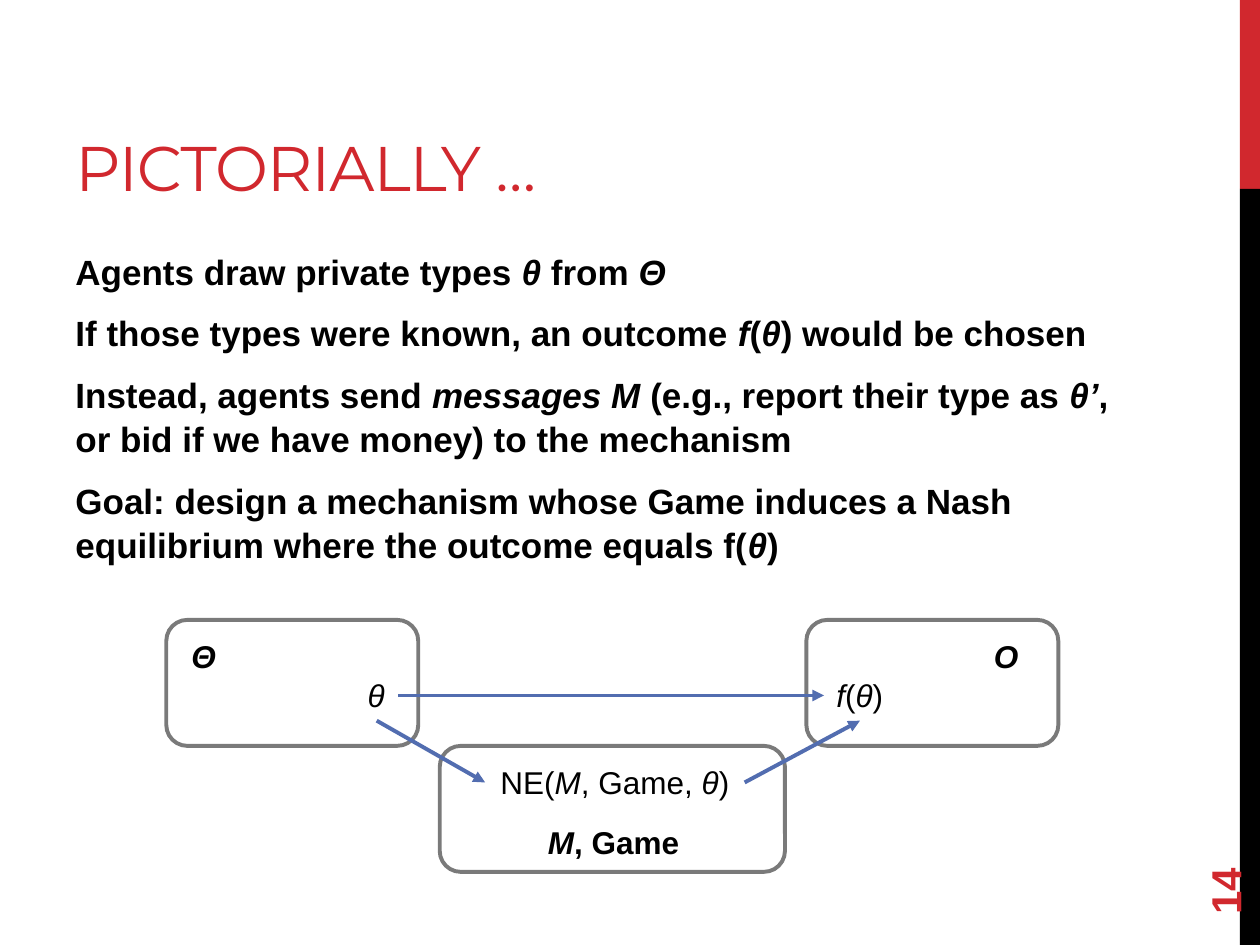
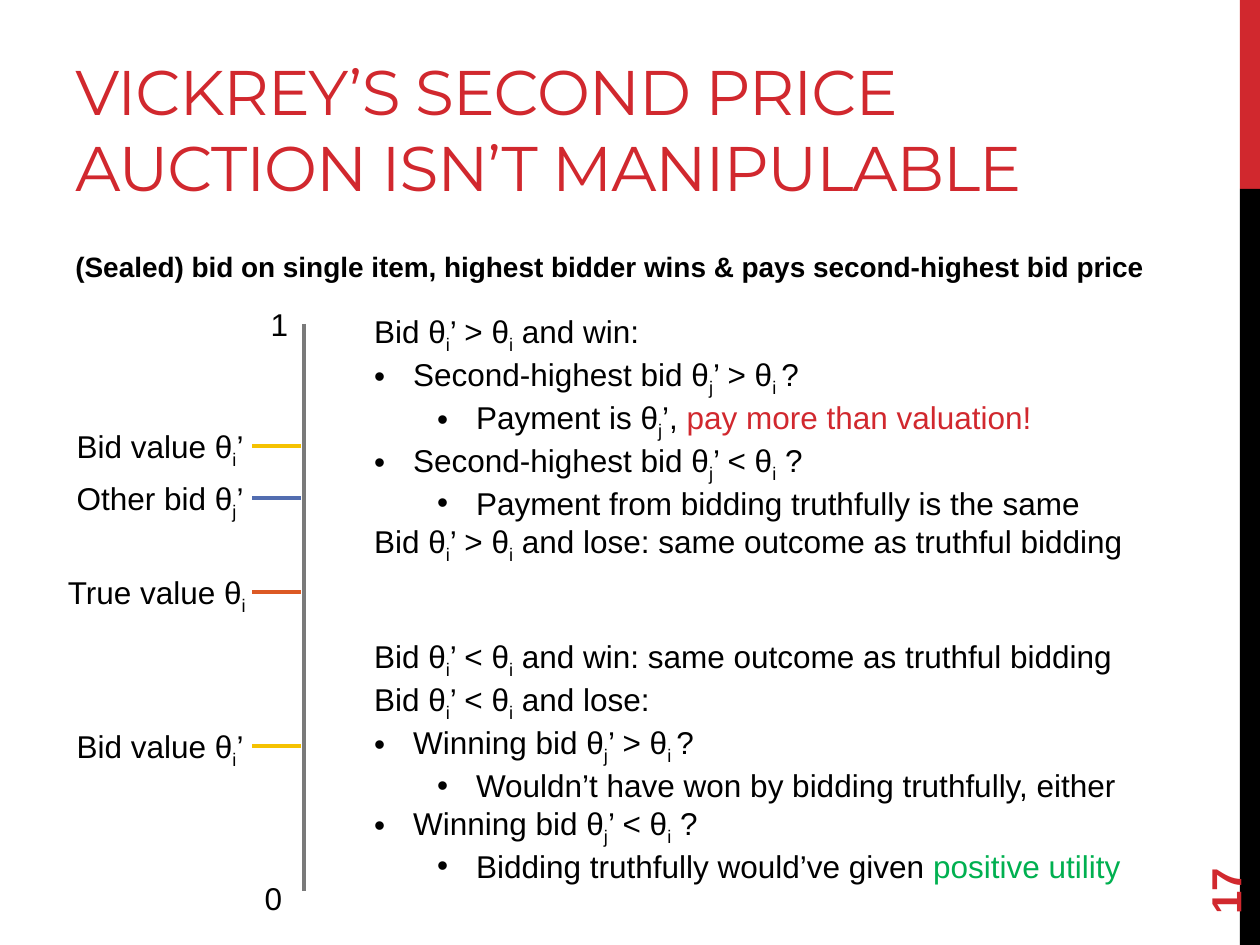
from lxml.etree import SubElement
from pptx import Presentation
from pptx.dml.color import RGBColor
from pptx.enum.shapes import MSO_CONNECTOR, MSO_SHAPE
from pptx.enum.text import MSO_ANCHOR, PP_ALIGN
from pptx.oxml.ns import qn
from pptx.util import Inches, Pt

RED = RGBColor(0xD1, 0x28, 0x2E)
BLACK = RGBColor(0, 0, 0)
WHITE = RGBColor(0xFF, 0xFF, 0xFF)
GREY = RGBColor(0x7A, 0x7A, 0x7A)
BLUE = RGBColor(0x52, 0x6D, 0xB0)
ORANGE = RGBColor(0xDC, 0x59, 0x24)
YELLOW = RGBColor(0xF5, 0xC2, 0x01)
GREEN = RGBColor(0x00, 0xB0, 0x50)

TYPE_STEPS = [
    "Agents draw private types *θ* from *Θ*",
    "If those types were known, an outcome *f*(*θ*) would be chosen",
    "Instead, agents send *messages M* (e.g., report their type as *θ’*, "
    "or bid if we have money) to the mechanism",
    "Goal: design a mechanism whose Game induces a Nash equilibrium "
    "where the outcome equals f(*θ*)",
]
AUCTION_RULE = ["(Sealed) bid on single item, highest bidder wins & pays second-highest bid price"]
OVERBID_CASES = [
    (0, "Bid θ_i_’ > θ_i_ and win:"),
    (1, "Second-highest bid θ_j_’ > θ_i _?"),
    (2, "Payment is θ_j_’, |pay more than valuation!|"),
    (1, "Second-highest bid θ_j_’ < θ_i_ ?"),
    (2, "Payment from bidding truthfully is the same"),
    (0, "Bid θ_i_’ > θ_i_ and lose: same outcome as truthful bidding"),
]
UNDERBID_CASES = [
    (0, "Bid θ_i_’ < θ_i_ and win: same outcome as truthful bidding"),
    (0, "Bid θ_i_’ < θ_i_ and lose:"),
    (1, "Winning bid θ_j_’ > θ_i _?"),
    (2, "Wouldn’t have won by bidding truthfully, either"),
    (1, "Winning bid θ_j_’ < θ_i_ ?"),
    (2, "Bidding truthfully would’ve given |positive utility|"),
]
BID_MARKS = [
    (0.97, 0.07, "Bid value θ_i_’", YELLOW),
    (1.38, 0.07, "Other bid θ_j_’", BLUE),
    (2.13, 0, "True value θ_i_", ORANGE),
    (3.35, 0.07, "Bid value θ_i_’", YELLOW),
]


def write(paragraph, text, size, bold=False, color=BLACK, font="Arial", accent=RED):
    """Fill a paragraph; *x* is italic, _x_ is subscript and |x| is accented."""
    paragraph.font.size = Pt(size)
    paragraph.font.bold = bold
    paragraph.font.name = font
    paragraph.font.color.rgb = color
    for accented, phrase in enumerate(text.split("|")):
        for lowered, piece in enumerate(phrase.split("_")):
            for slanted, words in enumerate(piece.split("*")):
                if not words:
                    continue
                run = paragraph.add_run()
                run.text = words
                if slanted % 2:
                    run.font.italic = True
                if lowered % 2:
                    run.font._element.set("baseline", "-25000")
                if accented % 2:
                    run.font.color.rgb = accent


def add_text_box(slide, left, top, width, height, anchor=MSO_ANCHOR.TOP):
    """Add an empty wrapping text box."""
    box = slide.shapes.add_textbox(Inches(left), Inches(top), Inches(width), Inches(height))
    box.text_frame.word_wrap = True
    box.text_frame.vertical_anchor = anchor
    return box


def add_label(slide, left, top, width, text, bold=False, align=PP_ALIGN.LEFT):
    """Add a one-line label."""
    label = add_text_box(slide, left, top, width, 0.4)
    paragraph = label.text_frame.paragraphs[0]
    paragraph.alignment = align
    write(paragraph, text, 18, bold)
    return label


def add_block(slide, kind, left, top, width, height, fill):
    """Add a flat filled shape without outline."""
    block = slide.shapes.add_shape(kind, Inches(left), Inches(top), Inches(width), Inches(height))
    block.shadow.inherit = False
    block.fill.solid()
    block.fill.fore_color.rgb = fill
    block.line.fill.background()
    return block


def add_space(slide, left, top, width):
    """Add a rounded outline that stands for a set."""
    space = add_block(slide, MSO_SHAPE.ROUNDED_RECTANGLE, left, top, width, 1, WHITE)
    space.line.color.rgb = GREY
    space.line.width = Pt(2.25)


def add_line(slide, start, end, color):
    """Add a straight line between two points in inches."""
    line = slide.shapes.add_connector(
        MSO_CONNECTOR.STRAIGHT, *(Inches(value) for value in (*start, *end)))
    line.line.color.rgb = color
    line.line.width = Pt(2.25)
    SubElement(line._element.spPr, qn("a:effectLst"))
    return line


def add_arrow(slide, source, source_side, target, target_side):
    """Join two labels with an arrow."""
    arrow = add_line(slide, (0, 0), (0, 0), BLUE)
    arrow.begin_connect(source, source_side)
    arrow.end_connect(target, target_side)
    SubElement(arrow.line._get_or_add_ln(), qn("a:tailEnd"), type="triangle")


def add_frame(deck, title, number):
    """Add a slide with side bands, title and page number."""
    slide = deck.slides.add_slide(deck.slide_layouts[6])
    add_block(slide, MSO_SHAPE.RECTANGLE, 9.84, 0, 0.16, 1.5, RED)
    add_block(slide, MSO_SHAPE.RECTANGLE, 9.84, 1.5, 0.16, 6, BLACK)
    heading = add_text_box(slide, 0.5, 0.17, 9.02, 1.5, MSO_ANCHOR.BOTTOM).text_frame.paragraphs[0]
    write(heading, title, 36, color=RED, font="Montserrat")
    heading.runs[0].font._element.set("spc", "-60")
    page = add_text_box(slide, 9, 6.44, 1.44, 0.4, MSO_ANCHOR.MIDDLE)
    page.rotation = 270
    write(page.text_frame.paragraphs[0], str(number), 24, True, RED)
    return slide


def add_body(slide, lines, size, width, height):
    """Add the bold statements under the title."""
    frame = add_text_box(slide, 0.5, 1.92, width, height).text_frame
    for index, line in enumerate(lines):
        paragraph = frame.add_paragraph() if index else frame.paragraphs[0]
        paragraph.line_spacing = 1.05
        paragraph.space_before = Pt(size * 0.2) if index else Pt(0)
        paragraph.space_after = Pt(6)
        write(paragraph, line, size, True)


def add_mechanism(slide, left, top):
    """Draw the types, the outcomes and the game that links them."""
    add_space(slide, left + 5.08, top, 2)
    add_label(slide, left + 6.38, top + 0.09, 0.57, "*O*", True, PP_ALIGN.CENTER)
    outcome = add_label(slide, left + 5.22, top + 0.4, 0.57, "*f*(*θ*)")
    add_space(slide, left, top, 2)
    agent_type = add_label(slide, left + 1.5, top + 0.4, 0.34, "*θ*")
    add_label(slide, left + 0.1, top + 0.09, 0.4, "*Θ*", True)
    add_space(slide, left + 2.17, top + 1, 2.74)
    add_label(slide, left + 2.93, top + 1.56, 1.25, "*M*, Game", True)
    equilibrium = add_label(slide, left + 2.53, top + 1.09, 2.06,
                            "NE(*M*, Game, *θ*)", align=PP_ALIGN.CENTER)
    add_arrow(slide, agent_type, 3, outcome, 1)
    add_arrow(slide, agent_type, 2, equilibrium, 1)
    add_arrow(slide, equilibrium, 3, outcome, 2)


def add_bid_scale(slide, left, top):
    """Draw the scale from 1 down to 0 with its marked bids."""
    axis = left + 1.97
    add_line(slide, (axis, top), (axis, top + 4.5), GREY)
    add_label(slide, left + 1.49, top + 4.36, 0.48, "0", align=PP_ALIGN.CENTER)
    add_label(slide, left + 1.61, top - 0.2, 0.24, "1", align=PP_ALIGN.CENTER)
    for drop, indent, text, color in BID_MARKS:
        add_label(slide, left + indent, top + drop - 0.2, 2.06, text)
        add_line(slide, (left + 1.56, top + drop), (left + 1.95, top + drop), color)


def add_cases(slide, left, top):
    """List what happens after bidding too high or too low."""
    frame = add_text_box(slide, left, top, 6.65, 4.64).text_frame
    for group, accent in ((OVERBID_CASES, RED), (UNDERBID_CASES, GREEN)):
        for index, (level, text) in enumerate(group):
            first = group is OVERBID_CASES and index == 0
            paragraph = frame.paragraphs[0] if first else frame.add_paragraph()
            if level:
                properties = paragraph._p.get_or_add_pPr()
                properties.set("marL", str(Inches(0.5 * level - 0.19)))
                properties.set("indent", str(Inches(-0.31)))
                SubElement(properties, qn("a:buFont"), typeface="Arial")
                SubElement(properties, qn("a:buChar"), char="•")
                paragraph.level = level - 1
            if group is UNDERBID_CASES and index == 0:
                paragraph.space_before = Pt(41.4)
            write(paragraph, text, 18, accent=accent)


def main():
    """Build both slides and save them."""
    deck = Presentation()
    deck.slide_width, deck.slide_height = Inches(10), Inches(7.5)
    pictorial = add_frame(deck, "PICTORIALLY …", 14)
    add_body(pictorial, TYPE_STEPS, 20, 8.59, 2.8)
    add_mechanism(pictorial, 1.32, 4.92)
    auction = add_frame(deck, "VICKREY’S SECOND PRICE AUCTION ISN’T MANIPULABLE", 17)
    add_body(auction, AUCTION_RULE, 16, 8.8, 0.31)
    add_bid_scale(auction, 0.44, 2.57)
    add_cases(auction, 2.87, 2.43)
    deck.save("out.pptx")


if __name__ == "__main__":
    main()
